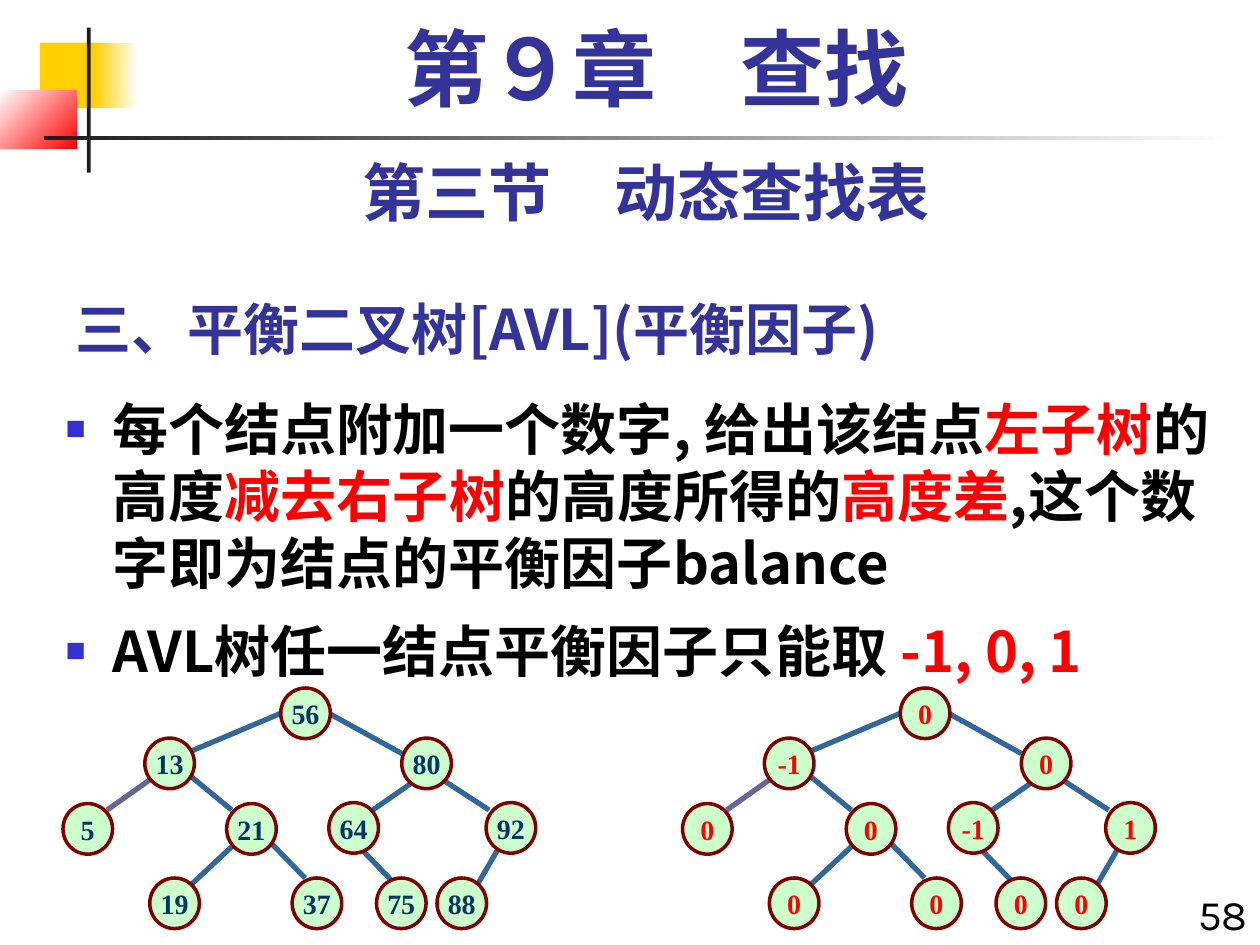
import dataclasses

import pptx
import pptx.dml.color
import pptx.enum.shapes
import pptx.enum.text
import pptx.util
from lxml import etree
from pptx.oxml.ns import qn

Cm, Pt = pptx.util.Cm, pptx.util.Pt
ALIGN, ANCHOR = pptx.enum.text.PP_ALIGN, pptx.enum.text.MSO_ANCHOR
SHAPE = pptx.enum.shapes.MSO_SHAPE
SANS, KARLA, TIMES = "Noto Sans CJK SC", "Karla", "Times New Roman"
NAVY, RED, BLACK, INK = "333399", "FF0000", "000000", "1C1C1C"
NODE_WIDTH, NODE_HEIGHT = 1, 1.02
TREE_SHIFT = 12.49


@dataclasses.dataclass
class Bar:
    left: float
    top: float
    width: float
    height: float
    start: str
    end: str = ""
    angle: float = 0


@dataclasses.dataclass
class Node:
    left: float
    top: float
    key: str
    balance: str


@dataclasses.dataclass
class Edge:
    x1: float
    y1: float
    x2: float
    y2: float
    color: str = "336699"


BARS = [
    Bar(0.81, 0.86, 1.22, 1.32, "FFCF01"),
    Bar(1.88, 0.86, 0.91, 1.32, "FFCF01", "FFFFFF"),
    Bar(0, 1.83, 1.55, 1.17, "FFFFFF", RED, 315),
    Bar(1.75, 0.56, 0.08, 2.92, INK),
    Bar(0.89, 2.74, 24, 0.08, INK, "FFFFFF"),
]

NODES = [
    Node(5.66, 13.87, "56", "0"),
    Node(2.92, 14.88, "13", "-1"),
    Node(8.1, 14.88, "80", "0"),
    Node(1.27, 16.2, "5", "0"),
    Node(4.57, 16.2, "21", "0"),
    Node(6.63, 16.18, "64", "-1"),
    Node(9.8, 16.18, "92", "1"),
    Node(3.02, 17.7, "19", "0"),
    Node(5.89, 17.7, "37", "0"),
    Node(7.59, 17.7, "75", "0"),
    Node(8.81, 17.7, "88", "0"),
]

EDGES = [
    Edge(5.66, 14.38, 3.81, 15.16),
    Edge(6.63, 14.38, 8.1, 15.19),
    Edge(3.02, 15.72, 2.16, 16.33, "666699"),
    Edge(3.81, 15.62, 4.67, 16.33),
    Edge(8.46, 15.67, 7.37, 16.43),
    Edge(8.97, 15.75, 9.86, 16.33),
    Edge(4.67, 17.07, 3.61, 18.06),
    Edge(5.41, 16.94, 6.15, 17.7),
    Edge(7.11, 16.94, 8.1, 17.96),
    Edge(10.29, 16.69, 9.55, 17.96),
]

POINTS = [
    [("每个结点附加一个数字, 给出该结点", BLACK), ("左子树", RED), ("的高度", BLACK),
     ("减去右子树", RED), ("的高度所得的", BLACK), ("高度差", RED),
     (",这个数字即为结点的平衡因子balance", BLACK)],
    [("AVL树任一结点平衡因子只能取 ", BLACK), ("-1, 0, 1", RED)],
]


def rgb(color: str) -> pptx.dml.color.RGBColor:
    return pptx.dml.color.RGBColor.from_string(color)


def set_font(paragraph, name: str, size: float, color: str = "", bold: bool = True) -> None:
    font = paragraph.font
    font.name, font.size, font.bold = name, Pt(size), bold
    if color:
        font.color.rgb = rgb(color)


def place(shape, left: float, top: float, width: float, height: float) -> None:
    shape.left, shape.top = Cm(left), Cm(top)
    shape.width, shape.height = Cm(width), Cm(height)


def draw_bar(shapes, bar: Bar) -> None:
    block = shapes.add_shape(SHAPE.RECTANGLE, Cm(bar.left), Cm(bar.top),
                             Cm(bar.width), Cm(bar.height))
    block.shadow.inherit = False
    block.line.fill.background()
    if not bar.end:
        block.fill.solid()
        block.fill.fore_color.rgb = rgb(bar.start)
        return
    block.fill.gradient()
    block.fill.gradient_angle = bar.angle
    for stop, color in zip(block.fill.gradient_stops, (bar.start, bar.end)):
        stop.color.rgb = rgb(color)


def add_label(shapes, text: str, left: float, top: float, width: float, height: float,
              align: ALIGN):
    frame = shapes.add_textbox(Cm(left), Cm(top), Cm(width), Cm(height)).text_frame
    frame.word_wrap = True
    paragraph = frame.paragraphs[0]
    paragraph.text, paragraph.alignment = text, align
    return paragraph


def add_bullet(paragraph) -> None:
    props = paragraph._p.get_or_add_pPr()
    props.set("marL", str(Cm(0.95)))
    props.set("indent", str(-Cm(0.95)))
    color = etree.SubElement(props, qn("a:buClr"))
    etree.SubElement(color, qn("a:srgbClr"), val="3333CC")
    etree.SubElement(props, qn("a:buSzPct"), val="60000")
    etree.SubElement(props, qn("a:buChar"), char="■")


def draw_edge(shapes, edge: Edge, shift: float) -> None:
    branch = shapes.add_connector(pptx.enum.shapes.MSO_CONNECTOR.STRAIGHT,
                                  Cm(edge.x1 + shift), Cm(edge.y1),
                                  Cm(edge.x2 + shift), Cm(edge.y2))
    branch.line.color.rgb = rgb(edge.color)
    branch.line.width = Pt(3)
    etree.SubElement(branch._element.spPr, qn("a:effectLst"))


def draw_node(shapes, node: Node, text: str, color: str, shift: float) -> None:
    circle = shapes.add_shape(SHAPE.OVAL, Cm(node.left + shift), Cm(node.top),
                              Cm(NODE_WIDTH), Cm(NODE_HEIGHT))
    circle.shadow.inherit = False
    circle.fill.solid()
    circle.fill.fore_color.rgb = rgb("CCFFCC")
    circle.line.color.rgb = rgb("800000")
    circle.line.width = Pt(2)
    frame = circle.text_frame
    frame.word_wrap, frame.vertical_anchor = False, ANCHOR.MIDDLE
    paragraph = frame.paragraphs[0]
    paragraph.text, paragraph.alignment = text, ALIGN.CENTER
    set_font(paragraph, TIMES, 16, color)


def draw_tree(shapes, field: str, color: str, shift: float) -> None:
    tree = shapes.add_group_shape().shapes
    for edge in EDGES:
        draw_edge(tree, edge, shift)
    for node in NODES:
        draw_node(tree, node, getattr(node, field), color, shift)


def main() -> None:
    deck = pptx.Presentation()
    deck.slide_width, deck.slide_height = Cm(25.4), Cm(19.05)
    slide = deck.slides.add_slide(deck.slide_layouts[1])
    shapes = slide.shapes

    # Corner decoration
    for bar in BARS:
        draw_bar(shapes, bar)

    # Chapter, section and page number
    chapter = add_label(shapes, "第９章　查找", 1.7, 0.43, 23.06, 2.11, ALIGN.CENTER)
    chapter.line_spacing = 0.9
    set_font(chapter, TIMES, 48, NAVY)
    section = add_label(shapes, "第三节　动态查找表", 1.27, 2.97, 23.5, 1.78, ALIGN.CENTER)
    set_font(section, KARLA, 36, NAVY)
    page_number = add_label(shapes, "58", 23.7, 17.78, 1.7, 1.5, ALIGN.RIGHT)
    set_font(page_number, KARLA, 24, BLACK, bold=False)

    # Topic
    topic = shapes.title
    place(topic, 1.27, 5.51, 17.35, 1.9)
    topic.text_frame.text = "三、平衡二叉树[AVL](平衡因子)"
    topic.text_frame.vertical_anchor = ANCHOR.BOTTOM
    topic.text_frame.auto_size = pptx.enum.text.MSO_AUTO_SIZE.NONE
    heading = topic.text_frame.paragraphs[0]
    heading.alignment, heading.line_spacing = ALIGN.LEFT, Pt(38.3)
    set_font(heading, SANS, 32, NAVY)

    # Definition of the balance factor
    definition = slide.placeholders[1]
    place(definition, 1.07, 7.82, 24.33, 11.23)
    frame = definition.text_frame
    frame.auto_size = pptx.enum.text.MSO_AUTO_SIZE.NONE
    for index, pieces in enumerate(POINTS):
        point = frame.add_paragraph() if index else frame.paragraphs[0]
        point.line_spacing, point.space_before = Pt(38.3), Pt(12)
        add_bullet(point)
        set_font(point, SANS, 32)
        for text, color in pieces:
            run = point.add_run()
            run.text = text
            run.font.color.rgb = rgb(color)

    # Keys on the left, balance factors on the right
    draw_tree(shapes, "key", "003366", 0)
    draw_tree(shapes, "balance", RED, TREE_SHIFT)

    deck.save("out.pptx")


if __name__ == "__main__":
    main()
